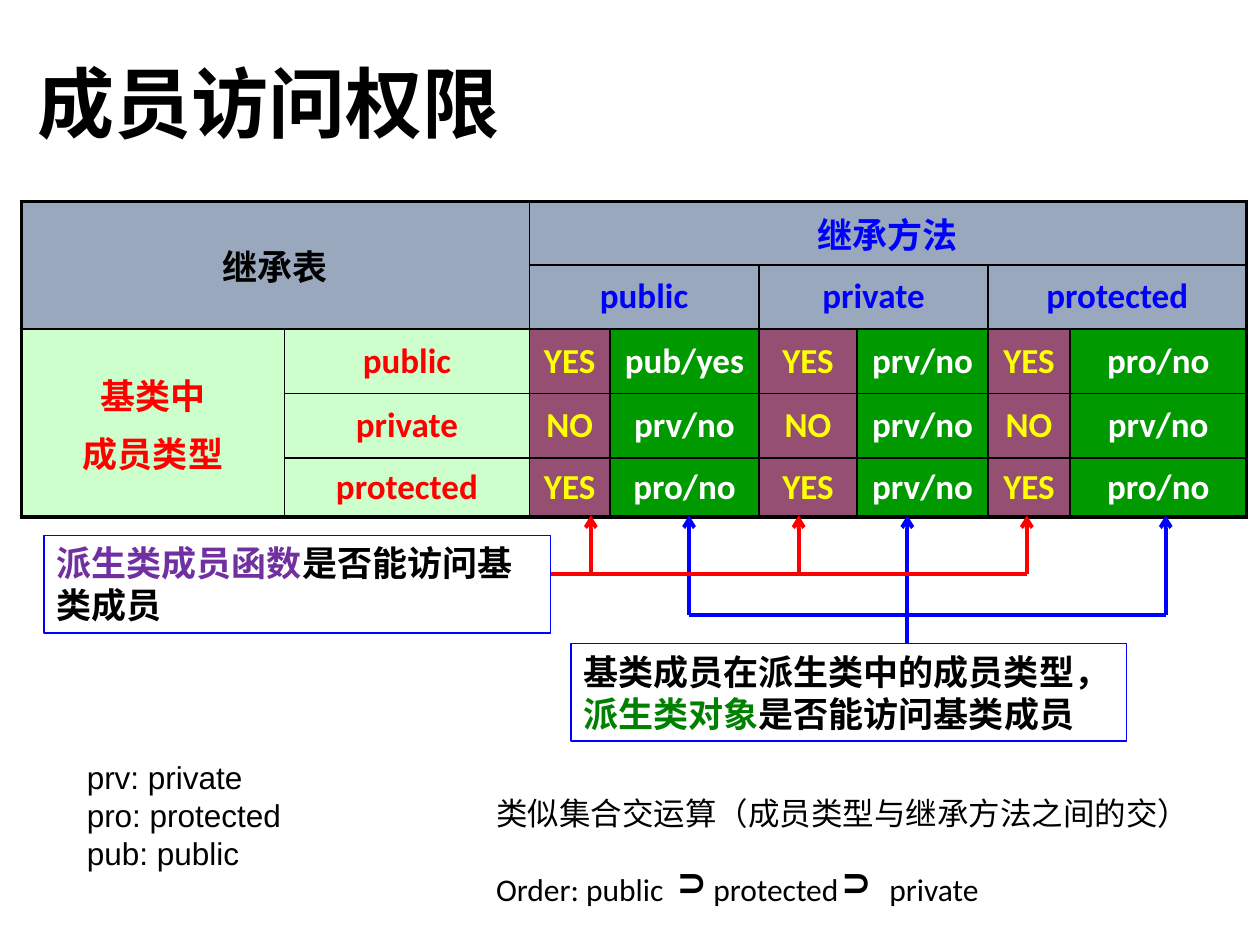
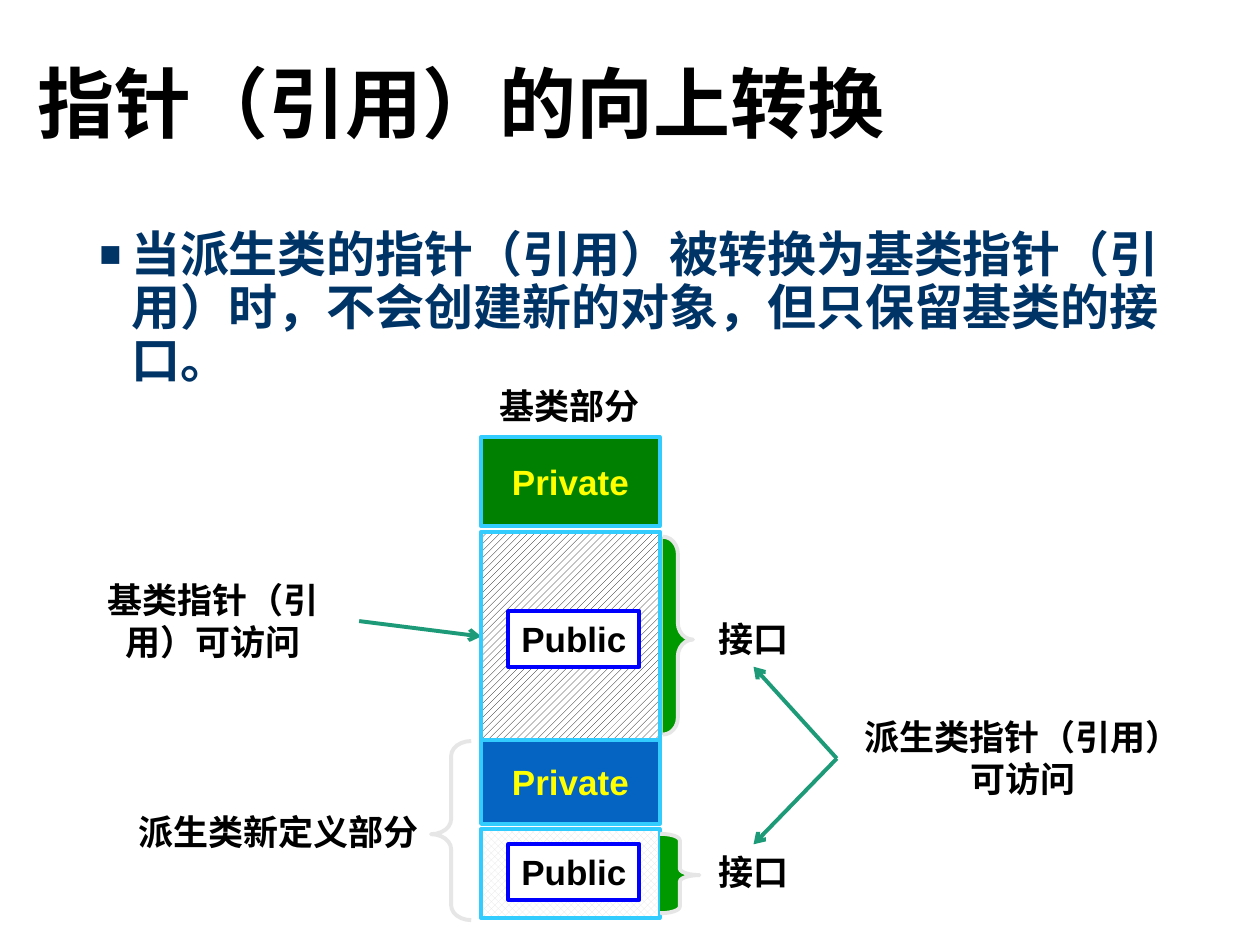
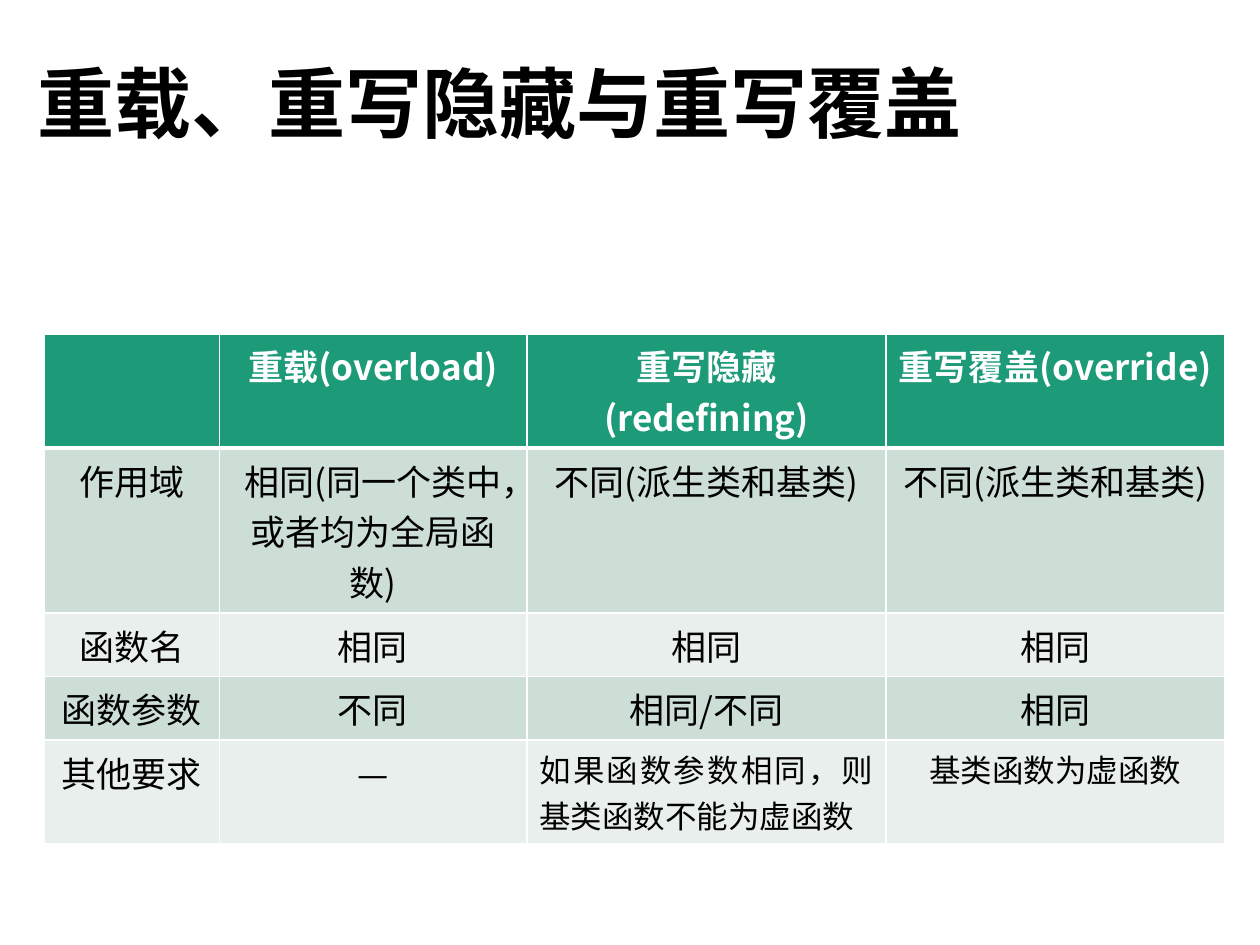
"""Build three slides about C++ inheritance, access rights and overriding."""
import pptx
import pptx.dml.color
import pptx.enum.dml
import pptx.enum.shapes
import pptx.enum.text
import pptx.oxml
import pptx.oxml.ns
import pptx.util

Cm = pptx.util.Cm
Pt = pptx.util.Pt
SHAPE = pptx.enum.shapes.MSO_SHAPE
ALIGN = pptx.enum.text.PP_ALIGN
ANCHOR = pptx.enum.text.MSO_ANCHOR
FIT = pptx.enum.text.MSO_AUTO_SIZE
PATTERN = pptx.enum.dml.MSO_PATTERN

BLACK, WHITE, RED, BLUE, YELLOW = "000000", "FFFFFF", "FF0000", "0000FF", "FFFF00"
GREEN, LEAF, PLUM, SLATE, MINT = "008000", "009900", "954F72", "99A8BD", "CCFFCC"
TEAL, SKY, GREY, NAVY = "1D9A78", "33CCFF", "E7E6E6", "003366"
CJK = "Noto Sans CJK SC"

GROW = {"word_wrap": True, "auto_size": FIT.SHAPE_TO_FIT_TEXT, "vertical_anchor": ANCHOR.TOP}
GROW_WIDE = {**GROW, "word_wrap": False}
FIXED = {"word_wrap": True, "auto_size": FIT.NONE, "vertical_anchor": ANCHOR.MIDDLE}
LEFT = {"alignment": ALIGN.LEFT}
CENTRE = {"alignment": ALIGN.CENTER}
ARIAL = {"name": "Arial", "size": Pt(20), "bold": True}
CALIBRI = {**ARIAL, "name": "Calibri"}
SMALL_ARIAL = {**ARIAL, "size": Pt(18), "bold": False}
SMALL_CALIBRI = {**SMALL_ARIAL, "name": "Calibri"}


def colour(value):
    return pptx.dml.color.RGBColor.from_string(value)


def write(frame, paragraphs, frame_values, paragraph_values, font_values, asian="Calibri"):
    for name, value in frame_values.items():
        setattr(frame, name, value)
    for index, pieces in enumerate(paragraphs):
        paragraph = frame.add_paragraph() if index else frame.paragraphs[0]
        for name, value in paragraph_values.items():
            setattr(paragraph, name, value)
        for text, text_colour in pieces:
            run = paragraph.add_run()
            run.text = text
            for name, value in font_values.items():
                setattr(run.font, name, value)
            run.font.color.rgb = colour(text_colour)
            properties = run._r.get_or_add_rPr()
            properties.set("lang", "zh-CN")
            east = pptx.oxml.parse_xml(f'<a:ea {pptx.oxml.ns.nsdecls("a")} typeface="{asian}"/>')
            properties.append(east)


presentation = pptx.Presentation()
presentation.slide_width = Cm(25.4)
presentation.slide_height = Cm(19.05)

slides = []
for title, layout in (("成员访问权限", 5), ("指针（引用）的向上转换", 1), ("重载、重写隐藏与重写覆盖", 5)):
    slide = presentation.slides.add_slide(presentation.slide_layouts[layout])
    shape = slide.shapes.title
    shape.left, shape.top, shape.width, shape.height = Cm(0.51), Cm(0.33), Cm(21.89), Cm(3.68)
    write(shape.text_frame, [[(title, BLACK)]], FIXED, {**LEFT, "line_spacing": 0.9},
          {"name": CJK, "size": Pt(44), "bold": True}, CJK)
    slides.append(slide)
access_slide, pointer_slide, override_slide = slides

access_widths = [5.31, 4.93, 1.63, 3, 1.98, 2.64, 1.65, 3.56]
access_heights = [1.27, 1.29, 1.3, 1.3, 1.19]
override_widths = [3.53, 6.2, 7.24, 6.83]
override_heights = [1.04] * 5
tables = []
for slide, left, top, widths, heights in (
        (access_slide, 0.43, 4.06, access_widths, access_heights),
        (override_slide, 0.89, 6.73, override_widths, override_heights)):
    table = slide.shapes.add_table(len(heights), len(widths), Cm(left), Cm(top),
                                   Cm(sum(widths)), Cm(sum(heights))).table
    table.first_row = table.horz_banding = False
    for column, width in zip(table.columns, widths):
        column.width = Cm(width)
    for row, height in zip(table.rows, heights):
        row.height = Cm(height)
    tables.append(table)
access_table, override_table = tables

for first, last in (((0, 0), (1, 1)), ((0, 2), (0, 7)), ((1, 2), (1, 3)),
                    ((1, 4), (1, 5)), ((1, 6), (1, 7)), ((2, 0), (4, 0))):
    access_table.cell(*first).merge(access_table.cell(*last))
access_rows = [
    ["继承表", "", "继承方法", "", "", "", "", ""],
    ["", "", "public", "", "private", "", "protected", ""],
    ["基类中\n成员类型", "public", "YES", "pub/yes", "YES", "prv/no", "YES", "pro/no"],
    ["", "private", "NO", "prv/no", "NO", "prv/no", "NO", "prv/no"],
    ["", "protected", "YES", "pro/no", "YES", "prv/no", "YES", "pro/no"],
]
for row, texts in enumerate(access_rows):
    for column, text in enumerate(texts):
        cell = access_table.cell(row, column)
        if row < 2:
            fill, text_colour = SLATE, BLUE if column else BLACK
        elif column < 2:
            fill, text_colour = MINT, RED
        else:
            fill, text_colour = (LEAF, WHITE) if column % 2 else (PLUM, YELLOW)
        cell.fill.solid()
        cell.fill.fore_color.rgb = colour(fill)
        cell.vertical_anchor = ANCHOR.MIDDLE
        if text:
            lines = [[(line, text_colour)] for line in text.split("\n")]
            write(cell.text_frame, lines, {}, CENTRE, CALIBRI, CJK)
            for paragraph in cell.text_frame.paragraphs[1:]:
                paragraph.space_before = Pt(4)

override_rows = [
    ["", "重载(overload)", "重写隐藏(redefining)", "重写覆盖(override)"],
    ["作用域", "相同(同一个类中，或者均为全局函数)", "不同(派生类和基类)", "不同(派生类和基类)"],
    ["函数名", "相同", "相同", "相同"],
    ["函数参数", "不同", "相同/不同", "相同"],
    ["其他要求", "—", "如果函数参数相同，则基类函数不能为虚函数", "基类函数为虚函数"],
]
for row, texts in enumerate(override_rows):
    for column, text in enumerate(texts):
        cell = override_table.cell(row, column)
        cell.fill.solid()
        cell.fill.fore_color.rgb = colour(TEAL if row == 0 else "CDDED6" if row % 2 else "E8EFEC")
        if text:
            long_note = row == 4 and column == 2
            size = 18 if row == 4 and column > 1 else 20
            write(cell.text_frame, [[(text, BLACK if row else WHITE)]], {},
                  {"alignment": ALIGN.JUSTIFY if long_note else ALIGN.CENTER},
                  {"name": CJK, "size": Pt(size), "bold": row == 0}, CJK)

for table, border_colour in ((access_table, BLACK), (override_table, WHITE)):
    row_count, column_count = len(table.rows), len(table.columns)
    for row in range(row_count):
        for column in range(column_count):
            cell = table.cell(row, column)
            right, bottom = column + cell.span_width, row + cell.span_height
            if table is access_table:
                edges = [column == 0, right == column_count, row == 0, bottom == row_count]
                points = [2.25 if edge else 1 for edge in edges]
            else:
                points = [1, 1, 3 if row == 1 else 1, 3 if row == 0 else 1]
            for index, (side, width) in enumerate(zip("LRTB", points)):
                border = pptx.oxml.parse_xml(
                    f'<a:ln{side} {pptx.oxml.ns.nsdecls("a")} w="{Pt(width)}"><a:solidFill>'
                    f'<a:srgbClr val="{border_colour}"/></a:solidFill></a:ln{side}>')
                cell._tc.get_or_add_tcPr().insert(index, border)

table_bottom, red_level, blue_level, note_top = 10.39, 11.58, 12.4, 12.98
lines = [(access_slide, x, red_level, x, table_bottom, RED, True) for x in (11.91, 16.1, 20.7)]
lines += [(access_slide, x, y, x, table_bottom, BLUE, True)
          for x, y in ((13.89, blue_level), (18.29, note_top), (23.5, blue_level))]
lines += [
    (access_slide, 11.1, red_level, 20.7, red_level, RED, False),
    (access_slide, 13.89, blue_level, 23.5, blue_level, BLUE, False),
    (pointer_slide, 7.24, 12.52, 9.7, 12.83, TEAL, True),
    (pointer_slide, 16.87, 15.29, 15.19, 13.44, TEAL, True),
    (pointer_slide, 16.87, 15.29, 15.19, 17.02, TEAL, True),
]
for slide, x1, y1, x2, y2, line_colour, arrow in lines:
    connector = slide.shapes.add_connector(pptx.enum.shapes.MSO_CONNECTOR.STRAIGHT,
                                           Cm(x1), Cm(y1), Cm(x2), Cm(y2))
    connector.line.color.rgb = colour(line_colour)
    connector.line.width = Pt(2.25)
    namespace = pptx.oxml.ns.nsdecls("a")
    if arrow:
        connector.line._get_or_add_ln().append(
            pptx.oxml.parse_xml(f'<a:tailEnd {namespace} type="arrow"/>'))
    connector._element.spPr.append(pptx.oxml.parse_xml(f'<a:effectLst {namespace}/>'))

body = pointer_slide.placeholders[1]
body.left, body.top, body.width, body.height = Cm(1.75), Cm(4.52), Cm(22.76), Cm(13.18)
write(body.text_frame,
      [[("当派生类的指针（引用）被转换为基类指针（引用）时，不会创建新的对象，但只保留基类的接口。", NAVY)]],
      {**FIXED, "vertical_anchor": ANCHOR.TOP},
      {**LEFT, "line_spacing": 0.9, "space_before": Pt(10)},
      {"name": "Noto Sans Mono", "size": Pt(28), "bold": True})
properties = body.text_frame.paragraphs[0]._p.get_or_add_pPr()
properties.set("marL", str(Cm(0.64)))
properties.set("indent", str(-Cm(0.64)))
for markup in ('buSzPct {} val="75000"', 'buFont {} typeface="Arial"', 'buChar {} char="■"'):
    properties.append(pptx.oxml.parse_xml(f'<a:{markup.format(pptx.oxml.ns.nsdecls("a"))}/>'))

block_left, block_width = 9.7, 3.6
boxes = [
    (access_slide, SHAPE.RECTANGLE, (0.89, 10.8, 10.21, 1.96), WHITE, BLUE, 0.75, (),
     [[("派生类成员函数", "7030A0"), ("是否能访问基类成员", BLACK)]], GROW, LEFT, ARIAL),
    (access_slide, SHAPE.RECTANGLE, (11.51, note_top, 11.2, 1.96), WHITE, BLUE, 0.75, (),
     [[("基类成员在派生类中的成员类型，", BLACK)],
      [("派生类对象", GREEN), ("是否能访问基类成员", BLACK)]], GROW_WIDE, LEFT, CALIBRI),
]
for top, height, fill, text in (
        (10.72, 4.19, (PATTERN.WIDE_UPWARD_DIAGONAL, BLACK), ""),
        (16.71, 1.8, (PATTERN.SOLID_DIAMOND, GREY), ""),
        (14.91, 1.7, "0563C1", "Private"),
        (8.81, 1.8, GREEN, "Private")):
    boxes.append((pointer_slide, SHAPE.RECTANGLE, (block_left, top, block_width, height), fill,
                  SKY, 2.25, (), [[(text, YELLOW)]] if text else [], FIXED, CENTRE, ARIAL))
for kind, place, fill, curve in (
        (SHAPE.LEFT_BRACE, (8.69, 14.94, 0.81, 3.61), None, 0.374),
        (SHAPE.RIGHT_BRACE, (13.36, 10.82, 0.61, 3.99), LEAF, 0.556),
        (SHAPE.RIGHT_BRACE, (13.31, 16.81, 0.79, 1.6), LEAF, 0.167)):
    boxes.append((pointer_slide, kind, place, fill, GREY, 2.25, (curve, 0.52),
                  [], FIXED, CENTRE, ARIAL))
for top in (12.32, 17.02):
    boxes.append((pointer_slide, SHAPE.RECTANGLE, (10.25, top, 2.64, 1.12), WHITE, BLUE, 2.25, (),
                  [[("Public", BLACK)]], GROW_WIDE, CENTRE, ARIAL))

for (slide, kind, place, fill, line_colour, width, adjustments,
     paragraphs, frame_values, paragraph_values, font_values) in boxes:
    shape = slide.shapes.add_shape(kind, *map(Cm, place))
    shape.shadow.inherit = False
    for index, value in enumerate(adjustments):
        shape.adjustments[index] = value
    if fill is None:
        shape.fill.background()
    elif isinstance(fill, tuple):
        shape.fill.patterned()
        shape.fill.pattern = fill[0]
        shape.fill.fore_color.rgb = colour(fill[1])
        shape.fill.back_color.rgb = colour(WHITE)
    else:
        shape.fill.solid()
        shape.fill.fore_color.rgb = colour(fill)
    shape.line.color.rgb = colour(line_colour)
    shape.line.width = Pt(width)
    write(shape.text_frame, paragraphs, frame_values, paragraph_values, font_values)

for text, place, frame_values, font_values in (
        ("基类部分", (9.8, 7.62, 3.38, 1.12), GROW_WIDE, ARIAL),
        ("派生类新定义部分", (2.49, 16.21, 6.25, 1.12), GROW_WIDE, CALIBRI),
        ("接口", (14.22, 12.32, 1.95, 1.12), GROW_WIDE, ARIAL),
        ("接口", (14.22, 17.02, 1.95, 1.12), GROW_WIDE, ARIAL),
        ("派生类指针（引用）可访问", (16.87, 14.3, 7.49, 1.96), GROW, ARIAL),
        ("基类指针（引用）可访问", (1.35, 11.53, 5.89, 1.96), GROW, ARIAL)):
    label = pointer_slide.shapes.add_textbox(*map(Cm, place))
    write(label.text_frame, [[(text, BLACK)]], frame_values, CENTRE, font_values)

legend = access_slide.shapes.add_textbox(Cm(1.5), Cm(15.16), Cm(6.4), Cm(2.57))
write(legend.text_frame,
      [[(line, BLACK)] for line in ("prv: private", "pro: protected", "pub: public")],
      GROW, LEFT, SMALL_ARIAL)

order = access_slide.shapes.add_textbox(Cm(9.75), Cm(15.88), Cm(14.76), Cm(2.57))
write(order.text_frame,
      [[("类似集合交运算（成员类型与继承方法之间的交）", BLACK)],
       [("Order: public\tprotected\tprivate", BLACK)]], GROW, LEFT, SMALL_CALIBRI)
order_line = order.text_frame.paragraphs[1]
order_line.space_before = Pt(22)
stops = "".join(f'<a:tab pos="{Cm(stop)}" algn="l"/>' for stop in (4.38, 7.93))
order_line._p.get_or_add_pPr().append(
    pptx.oxml.parse_xml(f'<a:tabLst {pptx.oxml.ns.nsdecls("a")}>{stops}</a:tabLst>'))

for left in (16.66, 13.34):
    superset = access_slide.shapes.add_textbox(Cm(left), Cm(17.6), Cm(1.37), Cm(0.71))
    superset.rotation = 180
    write(superset.text_frame, [[("U", BLACK)]], GROW_WIDE, LEFT, CALIBRI)
    superset.text_frame._txBody.bodyPr.set("vert", "eaVert")

presentation.save("out.pptx")
